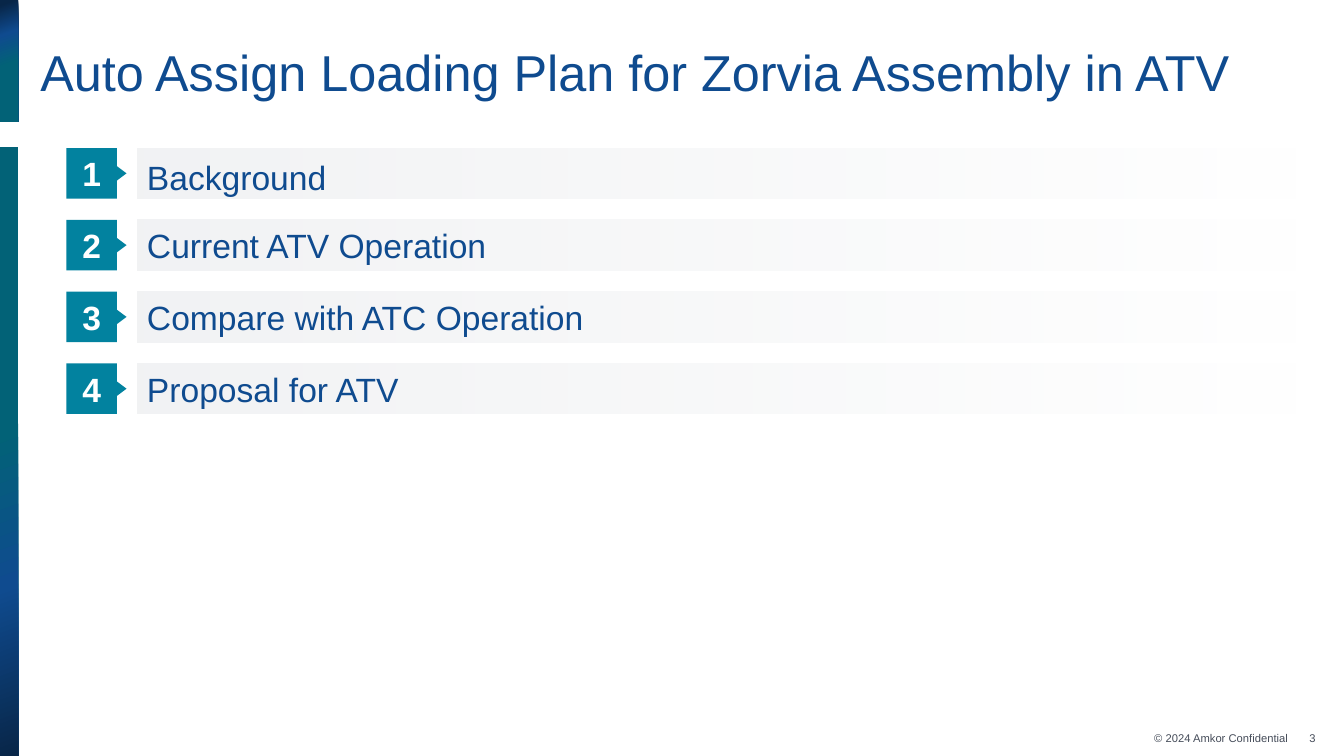
from dataclasses import dataclass

import pptx
import pptx.dml.color
import pptx.enum.shapes
import pptx.enum.text
import pptx.oxml.ns
import pptx.util
from lxml import etree

# Grid: square cells, a tenth of an inch on each side
CELL = 0.1
COLUMNS, ROWS = 133.33, 75

FONT = "Arial"
COLORS = {
    "navy": "082648",
    "blue": "0F4B8F",
    "deep_teal": "026277",
    "teal": "02829F",
    "silver": "D8DBE0",
    "slate": "464D5A",
    "white": "FFFFFF",
}

SHAPES = pptx.enum.shapes.MSO_SHAPE
ALIGN = pptx.enum.text.PP_ALIGN
MIDDLE = pptx.enum.text.MSO_ANCHOR.MIDDLE
qn = pptx.oxml.ns.qn


@dataclass(frozen=True)
class Box:
    column: float
    row: float
    columns: float
    rows: float

    def lengths(self) -> list:
        values = (self.column, self.row, self.columns, self.rows)
        return [pptx.util.Inches(value * CELL) for value in values]


@dataclass(frozen=True)
class Stop:
    position: int
    color: str
    opacity: int = 100


@dataclass(frozen=True)
class Band:
    box: Box
    stops: tuple


@dataclass(frozen=True)
class AgendaItem:
    label: str
    line_spacing: float = 1.0
    space_after: int = 0


@dataclass(frozen=True)
class FooterText:
    text: str
    box: Box
    side_inset: float


TITLE = "Auto Assign Loading Plan for Zorvia Assembly in ATV"
TITLE_BOX = Box(3, 2.5, 127.5, 11)

SIDE_BANDS = (
    Band(Box(0, 0, 1.8, 12.1),
         (Stop(4, "navy"), Stop(28, "blue"), Stop(53, "deep_teal"))),
    Band(Box(0, 14.6, 1.8, ROWS - 14.6),
         (Stop(0, "deep_teal"), Stop(46, "deep_teal"),
          Stop(72, "blue"), Stop(100, "navy"))),
)
BAR_STOPS = (Stop(0, "silver", 35), Stop(100, "silver", 0))

AGENDA = (
    AgendaItem("Background", line_spacing=1.2, space_after=8),
    AgendaItem("Current ATV Operation"),
    AgendaItem("Compare with ATC Operation"),
    AgendaItem("Proposal for ATV"),
)
AGENDA_TOP, AGENDA_PITCH, AGENDA_HEIGHT = 14.7, 7.12, 5

FOOTER = (
    FooterText("3", Box(126.5, 72, 5, 2.5), 1),
    FooterText("© 2024 Amkor Confidential", Box(104.3, 72, 24.8, 2.5), 1.3),
)


def rgb(name: str) -> pptx.dml.color.RGBColor:
    return pptx.dml.color.RGBColor.from_string(COLORS[name])


def add_plain_shape(slide, kind, box: Box):
    shape = slide.shapes.add_shape(kind, *box.lengths())
    shape.shadow.inherit = False
    shape.line.fill.background()
    return shape


def fill_solid(shape, color: str) -> None:
    shape.fill.solid()
    shape.fill.fore_color.rgb = rgb(color)


def fill_gradient(shape, stops: tuple, clockwise_angle: int) -> None:
    shape.fill.gradient()
    shape.fill.gradient_angle = (360 - clockwise_angle) % 360
    stop_list = shape._element.spPr.find(qn("a:gradFill")).find(qn("a:gsLst"))
    for old_stop in list(stop_list):
        stop_list.remove(old_stop)
    for stop in stops:
        entry = etree.SubElement(stop_list, qn("a:gs"), pos=str(stop.position * 1000))
        color = etree.SubElement(entry, qn("a:srgbClr"), val=COLORS[stop.color])
        if stop.opacity < 100:
            etree.SubElement(color, qn("a:alpha"), val=str(stop.opacity * 1000))


def set_frame(shape, insets: tuple, wrap: bool = True):
    """Insets are left, top, right and bottom, in grid cells."""
    frame = shape.text_frame
    frame.auto_size = pptx.enum.text.MSO_AUTO_SIZE.NONE
    frame.word_wrap = wrap
    frame.vertical_anchor = MIDDLE
    (frame.margin_left, frame.margin_top,
     frame.margin_right, frame.margin_bottom) = [
        pptx.util.Inches(inset * CELL) for inset in insets]
    return frame


def write(frame, text: str, size: int, color: str, align=ALIGN.LEFT, bold: bool = False):
    paragraph = frame.paragraphs[0]
    paragraph.alignment = align
    run = paragraph.add_run()
    run.text = text
    run.font.name = FONT
    run.font.size = pptx.util.Pt(size)
    run.font.bold = bold
    run.font.color.rgb = rgb(color)
    return paragraph


def add_side_band(slide, band: Band) -> None:
    shape = add_plain_shape(slide, SHAPES.RECTANGLE, band.box)
    fill_gradient(shape, band.stops, 70)


def add_footer_text(slide, footer: FooterText) -> None:
    text_box = slide.shapes.add_textbox(*footer.box.lengths())
    frame = set_frame(text_box, (footer.side_inset, 0.7) * 2)
    write(frame, footer.text, 8, "slate", ALIGN.RIGHT)


def add_title(slide) -> None:
    title = slide.shapes.title
    title.left, title.top, title.width, title.height = TITLE_BOX.lengths()
    frame = set_frame(title, (1, 0, 1, 1))
    write(frame, TITLE, 36, "blue").line_spacing = 0.9


def add_agenda_item(slide, index: int, item: AgendaItem) -> None:
    top = AGENDA_TOP + index * AGENDA_PITCH

    # Fading bar with the topic
    bar = add_plain_shape(slide, SHAPES.RECTANGLE, Box(13.6, top, 116.8, AGENDA_HEIGHT))
    fill_gradient(bar, BAR_STOPS, 0)
    paragraph = write(set_frame(bar, (1, 0.5) * 2), item.label, 24, "blue")
    paragraph.line_spacing = item.line_spacing
    paragraph.space_after = pptx.util.Pt(item.space_after)

    # Numbered square and its pointer
    square = add_plain_shape(slide, SHAPES.RECTANGLE,
                             Box(6.6, top, AGENDA_HEIGHT, AGENDA_HEIGHT))
    fill_solid(square, "teal")
    write(set_frame(square, (0, 0) * 2, wrap=False), str(index + 1), 24, "white",
          ALIGN.CENTER, bold=True)
    pointer = add_plain_shape(slide, SHAPES.ISOSCELES_TRIANGLE, Box(11.3, top + 2, 1.5, 1))
    pointer.rotation = 90
    fill_solid(pointer, "teal")


def main() -> None:
    presentation = pptx.Presentation()
    presentation.slide_width = pptx.util.Inches(COLUMNS * CELL)
    presentation.slide_height = pptx.util.Inches(ROWS * CELL)
    slide = presentation.slides.add_slide(presentation.slide_layouts.get_by_name("Title Only"))

    for band in SIDE_BANDS:
        add_side_band(slide, band)
    for footer in FOOTER:
        add_footer_text(slide, footer)
    add_title(slide)
    for index, item in enumerate(AGENDA):
        add_agenda_item(slide, index, item)

    presentation.save("out.pptx")


if __name__ == "__main__":
    main()
